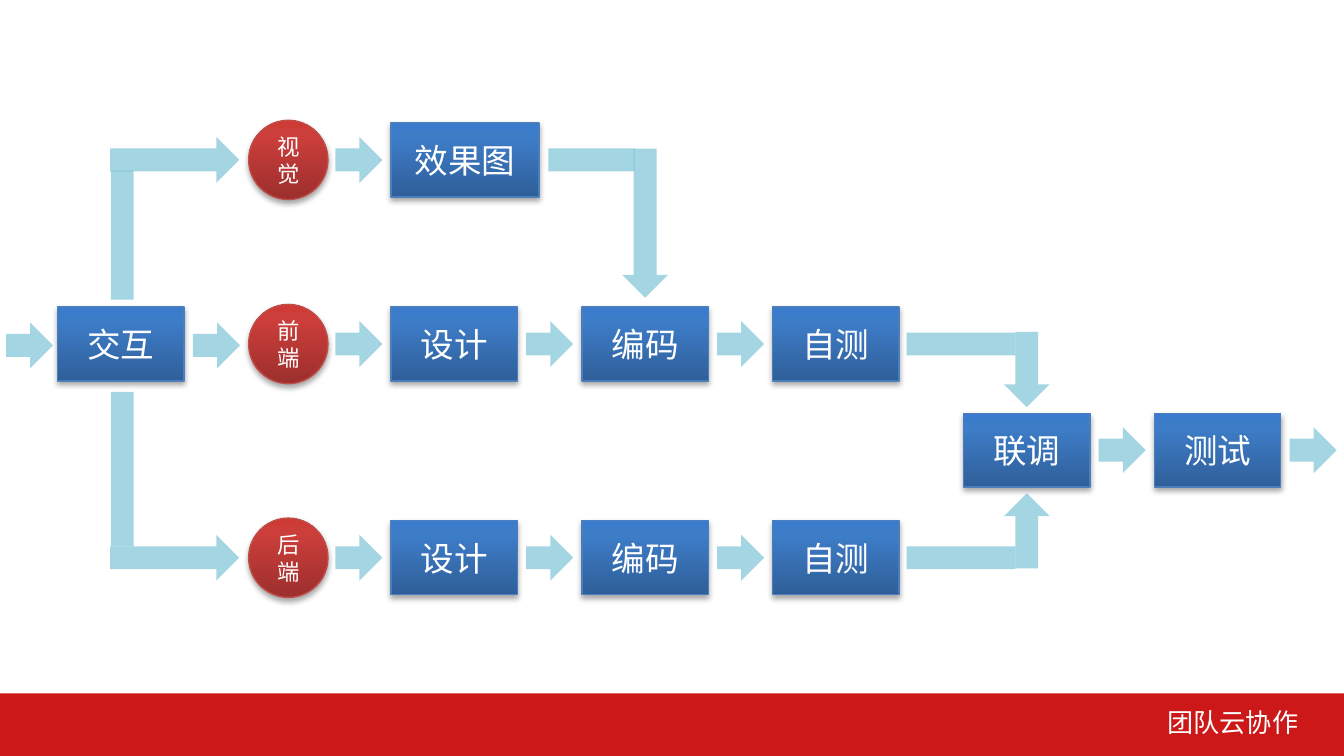
from dataclasses import dataclass

from lxml.etree import SubElement
from pptx import Presentation
from pptx.dml.color import RGBColor
from pptx.enum.shapes import MSO_SHAPE
from pptx.enum.text import MSO_ANCHOR, PP_ALIGN
from pptx.oxml.ns import qn
from pptx.util import Inches, Pt


@dataclass(frozen=True)
class Theme:
    font: str = "Noto Sans CJK SC"
    text: str = "FFFFFF"
    footer: str = "CC1818"
    arrow: str = "4BACC6"
    blue: tuple = ("2F5F99", "3D7CC7", "3A7CCB")
    blue_line: str = "4B7EBC"
    red: tuple = ("9C2F2D", "CB3E3A", "CE3B37")
    red_line: str = "BF4C48"
    step_size: int = 18
    role_size: int = 12
    footer_size: int = 14


THEME = Theme()

# Grid, in inches
WIDTH = 10
HEIGHT = WIDTH * 9 / 16
VISUAL, FRONT, MERGE, BACK = 1.19, 2.56, 3.35, 4.15
FIRST_COLUMN, COLUMN_PITCH = 2.91, 1.42
STEP_WIDTH, STEP_HEIGHT = 0.94, 0.55
START_LEFT, ROLE_LEFT, ROLE_SIZE = 0.43, 1.85, 0.59
ARROW_LENGTH, ARROW_HEIGHT, ARROW_OFFSET = 0.35, 0.34, 0.24
BAR_WIDTH = 0.17


def column(index):
    return FIRST_COLUMN + index * COLUMN_PITCH


def column_center(index):
    return column(index) + STEP_WIDTH / 2


def add_color(parent, color, alpha=None):
    node = SubElement(parent, qn("a:srgbClr"), val=color)
    if alpha is not None:
        SubElement(node, qn("a:alpha"), val=str(alpha * 1000))


def write(frame, text, *, size, align=PP_ALIGN.CENTER, anchor=MSO_ANCHOR.MIDDLE):
    frame.word_wrap = True
    frame.vertical_anchor = anchor
    para = frame.paragraphs[0]
    para.alignment = align
    span = para.add_run()
    span.text = text
    span.font.size = Pt(size)
    span.font.name = THEME.font
    span.font.color.rgb = RGBColor.from_string(THEME.text)
    properties = span.font._element
    SubElement(properties, qn("a:ea"), typeface=THEME.font)


def add_flat(page, kind, left, top, width, height, color):
    shape = page.shapes.add_shape(
        kind, Inches(left), Inches(top), Inches(width), Inches(height))
    shape.shadow.inherit = False
    shape.fill.solid()
    shape.fill.fore_color.rgb = RGBColor.from_string(color)
    shape.line.fill.background()
    return shape


def add_node(page, kind, text, left, middle, width, height, *, colors, line, size):
    """A gradient shape with a soft shadow and centred text."""
    shape = add_flat(page, kind, left, middle - height / 2, width, height, colors[0])
    shape.line.color.rgb = RGBColor.from_string(line)
    shape.line.width = Pt(0.75)
    shape.fill.gradient()
    shape.fill.gradient_angle = 90
    properties = shape._element.spPr
    stops = properties.find(qn("a:gradFill")).find(qn("a:gsLst"))
    for stop in list(stops):
        stops.remove(stop)
    for position, color in zip((0, 80, 100), colors):
        add_color(SubElement(stops, qn("a:gs"), pos=str(position * 1000)), color)
    shadow = SubElement(
        properties.find(qn("a:effectLst")), qn("a:outerShdw"),
        blurRad=str(Pt(3.1)), dist=str(Pt(1.8)), dir="5400000", rotWithShape="0")
    add_color(shadow, "000000", 35)
    write(shape.text_frame, text, size=size)


def add_step(page, text, left, middle, width=STEP_WIDTH):
    add_node(page, MSO_SHAPE.RECTANGLE, text, left, middle, width, STEP_HEIGHT,
             colors=THEME.blue, line=THEME.blue_line, size=THEME.step_size)


def add_role(page, text, middle):
    add_node(page, MSO_SHAPE.FLOWCHART_CONNECTOR, text, ROLE_LEFT, middle,
             ROLE_SIZE, ROLE_SIZE,
             colors=THEME.red, line=THEME.red_line, size=THEME.role_size)


def add_flow(page, kind, center, middle, width, height, rotation):
    shape = add_flat(page, kind, center - width / 2, middle - height / 2,
                     width, height, THEME.arrow)
    shape.rotation = rotation
    color = shape._element.spPr.find(qn("a:solidFill"))[0]
    SubElement(color, qn("a:alpha"), val="50000")


def add_arrow(page, center, middle, length=ARROW_LENGTH, rotation=0):
    add_flow(page, MSO_SHAPE.RIGHT_ARROW, center, middle,
             length, ARROW_HEIGHT, rotation)


def add_bar(page, center, middle, length, rotation=0):
    add_flow(page, MSO_SHAPE.RECTANGLE, center, middle, BAR_WIDTH, length, rotation)


def add_footer(page):
    top = 5.16
    add_flat(page, MSO_SHAPE.RECTANGLE, 0, top, WIDTH, HEIGHT - top, THEME.footer)
    box = page.shapes.add_textbox(Inches(3.65), Inches(5.21), Inches(6.11), Inches(0.3))
    write(box.text_frame, "团队云协作", size=THEME.footer_size,
          align=PP_ALIGN.RIGHT, anchor=MSO_ANCHOR.TOP)


def add_nodes(page):
    add_step(page, "交互", START_LEFT, FRONT)
    add_step(page, "效果图", column(0), VISUAL, width=1.1)
    for text, row in (("视觉", VISUAL), ("前端", FRONT), ("后端", BACK)):
        add_role(page, text, row)
    for row in (FRONT, BACK):
        for index, text in enumerate(("设计", "编码", "自测")):
            add_step(page, text, column(index), row)
    for index, text in enumerate(("联调", "测试"), start=3):
        add_step(page, text, column(index), MERGE)


def add_straight_arrows(page):
    add_arrow(page, 0.22, FRONT + 0.01)
    add_arrow(page, ROLE_LEFT - ARROW_OFFSET, FRONT + 0.01)
    for row, indexes in ((VISUAL, (0,)), (FRONT, (0, 1, 2)),
                         (BACK, (0, 1, 2)), (MERGE, (4, 5))):
        for index in indexes:
            add_arrow(page, column(index) - ARROW_OFFSET, row)


def add_elbows(page):
    # From the first step out to the visual and back-end rows
    start = START_LEFT + STEP_WIDTH / 2 + 0.01
    for row, middle, length in ((VISUAL, 1.75, 0.96), (BACK, 3.49, 1.15)):
        add_arrow(page, 1.3, row, 0.96)
        add_bar(page, start, middle, length)
    # From the visual row down to coding
    add_bar(page, 4.4, VISUAL, 0.64, 90)
    add_arrow(page, column_center(1), 1.66, 1.11, 90)
    # From both self-test steps into the joint step
    for row, middle, rotation in ((FRONT, 2.75, 90), (BACK, 3.95, 270)):
        add_bar(page, 7.15, row, 0.81, 90)
        add_arrow(page, column_center(3), middle, 0.56, rotation)


def main():
    deck = Presentation()
    deck.slide_width, deck.slide_height = Inches(WIDTH), Inches(HEIGHT)
    page = deck.slides.add_slide(deck.slide_layouts[6])
    add_footer(page)
    add_nodes(page)
    add_straight_arrows(page)
    add_elbows(page)
    deck.save("out.pptx")


main()
